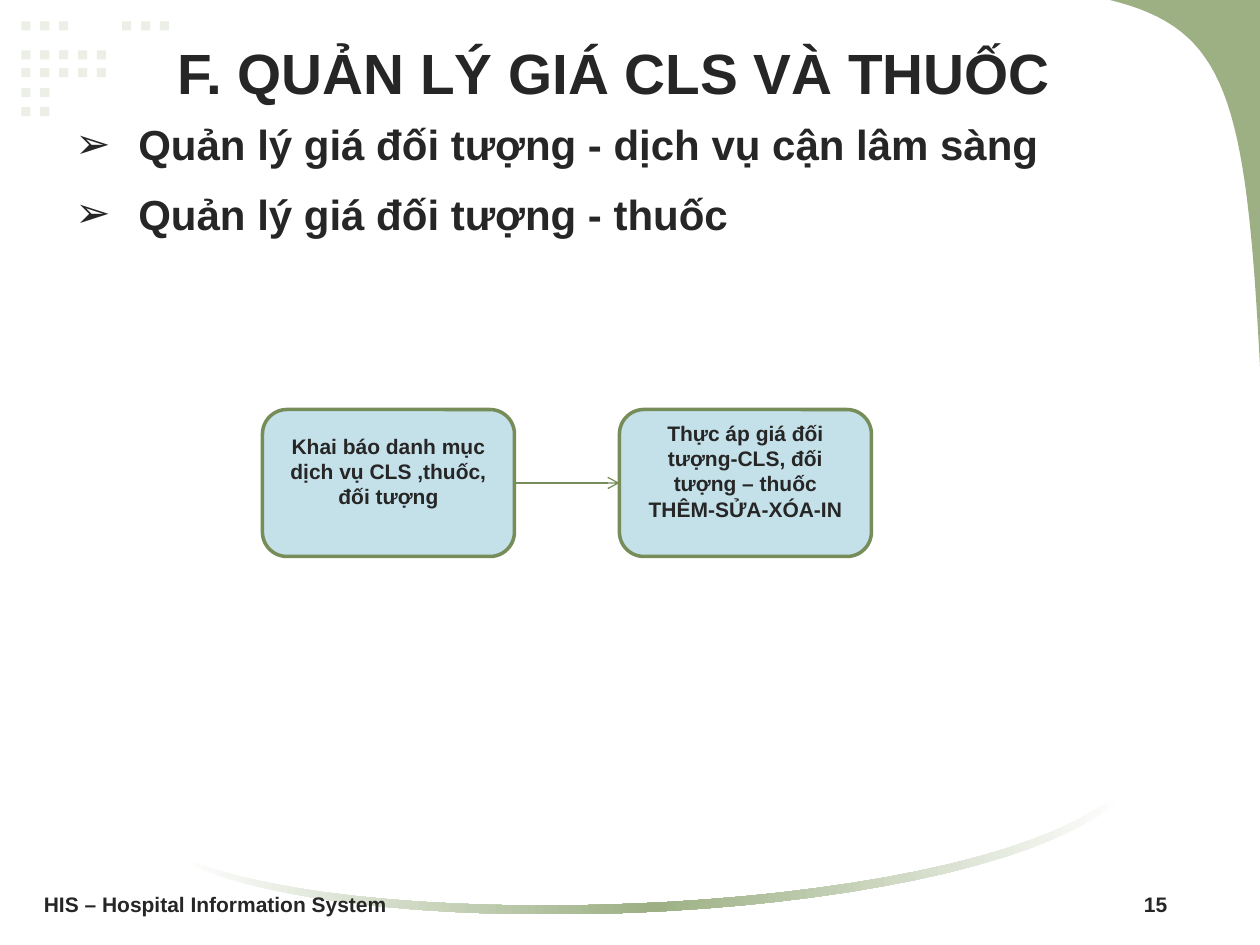
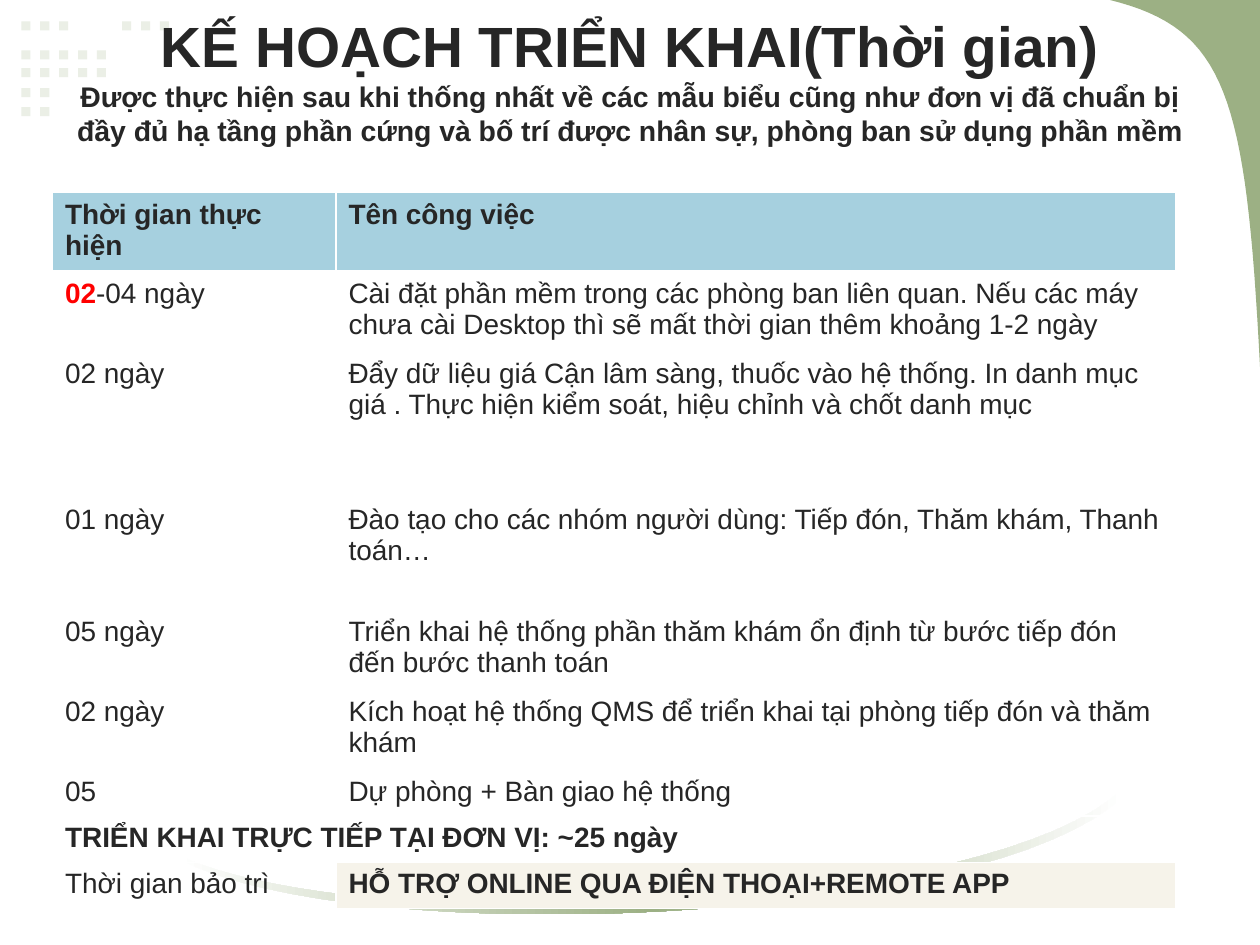
from dataclasses import dataclass

from lxml import etree
from pptx import Presentation
from pptx.dml.color import RGBColor
from pptx.enum.shapes import MSO_CONNECTOR, MSO_SHAPE
from pptx.enum.text import MSO_ANCHOR, PP_ALIGN
from pptx.oxml import parse_xml
from pptx.oxml.ns import nsdecls, qn
from pptx.util import Pt

LEFT, CENTER = PP_ALIGN.LEFT, PP_ALIGN.CENTER
TOP, MIDDLE = MSO_ANCHOR.TOP, MSO_ANCHOR.MIDDLE
RECTANGLE, ROUNDED = MSO_SHAPE.RECTANGLE, MSO_SHAPE.ROUNDED_RECTANGLE
STRAIGHT = MSO_CONNECTOR.STRAIGHT


@dataclass(frozen=True)
class Theme:
    font: str = "Arial"
    ink: str = "262626"
    accent: str = "FF0000"
    dot: str = "EBEFE6"
    green: str = "9CB084"
    outline: str = "768D5A"
    step: str = "C4E0E9"
    header: str = "A6D0DF"
    support: str = "F6F3EA"
    white: str = "FFFFFF"
    title_size: float = 32.4
    subtitle_size: float = 16.2
    bullet_size: float = 24
    table_size: float = 16
    small_size: float = 12


theme = Theme()


def color(code):
    return RGBColor.from_string(code)


def write(frame, text, size, bold=True, ink=theme.ink, align=LEFT, anchor=TOP,
          line_spacing=None, space_before=None, bullet=None, indent=0, tab=None):
    """Fill a frame; each line becomes a paragraph, a list holds (text, format) spans."""
    frame.word_wrap = True
    frame.vertical_anchor = anchor
    lines = text if isinstance(text, list) else [[(line, {})] for line in text.split("\n")]
    for number, spans in enumerate(lines):
        para = frame.paragraphs[0] if number == 0 else frame.add_paragraph()
        para.alignment = align
        para.line_spacing = line_spacing
        para.space_before = space_before
        properties = para._p.get_or_add_pPr()
        if bullet:
            properties.set("marL", str(Pt(indent)))
            properties.set("indent", str(-Pt(indent)))
            etree.SubElement(properties, qn("a:buFont"), typeface=theme.font)
            etree.SubElement(properties, qn("a:buChar"), char=bullet)
        if tab:
            stops = etree.SubElement(properties, qn("a:tabLst"))
            etree.SubElement(stops, qn("a:tab"), pos=str(Pt(tab)), algn="r")
        for words, changes in spans:
            span = para.add_run()
            span.text = words
            span.font.name = theme.font
            span.font.size = Pt(changes.get("size", size))
            span.font.bold = changes.get("bold", bold)
            span.font.color.rgb = color(changes.get("ink", ink))


# Shared decoration: dots, green corner and the fading swoosh
DOT_LEFT, DOT_PITCH, DOT_SIZE = 12.2, 10.8, 5.2
DOT_ROWS = [(12.2, 3), (28.8, 5), (38.9, 5), (50.4, 2), (61.2, 2)]
dots = [(DOT_LEFT + DOT_PITCH * i, top) for top, count in DOT_ROWS for i in range(count)]
dots += [(69.8 + DOT_PITCH * i, DOT_ROWS[0][0]) for i in range(3)]

CORNER = [[(720, 209.5), (712, 54), (700.6, 16.6), (634.3, 0)], [(720, 0)]]
SWOOSH = [[(642.2, 455), (565.2, 528.5), (205.9, 544.3), (102.2, 491)],
          [(102.2, 488.9), (207.4, 537.8), (569.5, 523.4), (642.2, 450)]]
CURVE_STEPS = 32

deck = Presentation()
deck.slide_width, deck.slide_height = Pt(720), Pt(540)
pages = [deck.slides.add_slide(deck.slide_layouts[6]) for _ in range(2)]

for page in pages:
    for left, top in dots:
        dot = page.shapes.add_shape(RECTANGLE, Pt(left), Pt(top), Pt(DOT_SIZE), Pt(DOT_SIZE))
        dot.shadow.inherit = False
        dot.fill.solid()
        dot.fill.fore_color.rgb = color(theme.dot)
        dot.line.fill.background()

    for pieces in (CORNER, SWOOSH):
        points = []
        for piece in pieces:
            if len(piece) == 1:
                points += piece
                continue
            for step in range(CURVE_STEPS + 1):
                t = step / CURVE_STEPS
                weights = ((1 - t) ** 3, 3 * t * (1 - t) ** 2, 3 * t * t * (1 - t), t ** 3)
                points.append([sum(w * p[axis] for w, p in zip(weights, piece))
                               for axis in (0, 1)])
        points = [(Pt(x), Pt(y)) for x, y in points]
        builder = page.shapes.build_freeform(*points[0])
        builder.add_line_segments(points[1:], close=True)
        outline = builder.convert_to_shape()
        outline.shadow.inherit = False
        outline.line.fill.background()
        if pieces is CORNER:
            outline.fill.solid()
            outline.fill.fore_color.rgb = color(theme.green)
        else:
            outline.fill.gradient()
            outline.fill.gradient_angle = 0
            stops = outline._element.spPr.find(".//" + qn("a:gsLst"))
            for stop in list(stops):
                stops.remove(stop)
            for place, code in ((0, theme.white), (50, theme.green), (100, theme.white)):
                stops.append(parse_xml(f'<a:gs {nsdecls("a")} pos="{place * 1000}">'
                                       f'<a:srgbClr val="{code}"/></a:gs>'))

price_page, plan_page = pages

# Price management
title = price_page.shapes.add_textbox(Pt(36), Pt(18), Pt(630), Pt(66))
write(title.text_frame, "F. QUẢN LÝ GIÁ CLS VÀ THUỐC", theme.title_size, align=CENTER)

topics = price_page.shapes.add_textbox(Pt(36), Pt(60), Pt(612), Pt(132))
write(topics.text_frame,
      "Quản lý giá đối tượng - dịch vụ cận lâm sàng\nQuản lý giá đối tượng - thuốc",
      theme.bullet_size, line_spacing=1.15, space_before=Pt(6.5), bullet="➢", indent=36)

STEP_TOP, STEP_WIDTH, STEP_HEIGHT = 234, 144, 84
STEPS = [(150, "Khai báo danh mục dịch vụ CLS ,thuốc, đối tượng"),
         (354, "Thực áp giá đối tượng-CLS, đối tượng – thuốc\nTHÊM-SỬA-XÓA-IN")]
for left, label in STEPS:
    box = price_page.shapes.add_shape(ROUNDED, Pt(left), Pt(STEP_TOP),
                                      Pt(STEP_WIDTH), Pt(STEP_HEIGHT))
    box.shadow.inherit = False
    box.fill.solid()
    box.fill.fore_color.rgb = color(theme.step)
    box.line.color.rgb = color(theme.outline)
    box.line.width = Pt(2)
    box.text_frame.margin_bottom = Pt(17.4)
    write(box.text_frame, label, theme.small_size, align=CENTER, anchor=MIDDLE)

middle = Pt(STEP_TOP + STEP_HEIGHT / 2)
arrow = price_page.shapes.add_connector(STRAIGHT, Pt(STEPS[0][0] + STEP_WIDTH), middle,
                                        Pt(STEPS[1][0]), middle)
arrow.line.color.rgb = color(theme.outline)
arrow.line.width = Pt(0.75)
etree.SubElement(arrow.line._get_or_add_ln(), qn("a:tailEnd"), type="arrow")
etree.SubElement(arrow._element.spPr, qn("a:effectLst"))

footer = price_page.shapes.add_textbox(Pt(18), Pt(504), Pt(684), Pt(25))
write(footer.text_frame, "HIS – Hospital Information System\t15", theme.small_size,
      anchor=MIDDLE, tab=642)

# Rollout plan
title = plan_page.shapes.add_textbox(Pt(36), Pt(0), Pt(648), Pt(90))
write(title.text_frame,
      [[("KẾ HOẠCH TRIỂN KHAI(Thời gian)", {})],
       [("Được thực hiện sau khi thống nhất về các mẫu biểu cũng như đơn vị đã chuẩn bị "
         "đầy đủ hạ tầng phần cứng và bố trí được nhân sự, phòng ban sử dụng phần mềm",
         {"size": theme.subtitle_size})]],
      theme.title_size, align=CENTER, anchor=MIDDLE)

PLAN = [
    (26, "Thời gian thực hiện", "Tên công việc"),
    (45, [[("02", {"bold": True, "ink": theme.accent}), ("-04 ngày", {})]],
     "Cài đặt phần mềm trong các phòng ban liên quan. Nếu các máy chưa cài Desktop "
     "thì sẽ mất thời gian thêm khoảng 1-2 ngày"),
    (83.5, "02 ngày", "Đẩy dữ liệu giá Cận lâm sàng, thuốc vào hệ thống. In danh mục giá . "
     "Thực hiện kiểm soát, hiệu chỉnh và chốt danh mục"),
    (64, "01 ngày", "Đào tạo cho các nhóm người dùng: Tiếp đón, Thăm khám, Thanh toán…"),
    (45, "05 ngày", "Triển khai hệ thống phần thăm khám ổn định từ bước tiếp đón "
     "đến bước thanh toán"),
    (45, "02 ngày", "Kích hoạt hệ thống QMS để triển khai tại phòng tiếp đón và thăm khám"),
    (26, "05", "Dự phòng + Bàn giao hệ thống"),
    (26, "TRIỂN KHAI TRỰC TIẾP TẠI ĐƠN VỊ: ~25 ngày", None),
    (26, "Thời gian bảo trì", "HỖ TRỢ ONLINE QUA ĐIỆN THOẠI+REMOTE APP"),
]
TOTAL_ROW, SUPPORT_ROW = 7, 8
FILLS = {(0, 0): theme.header, (0, 1): theme.header, (SUPPORT_ROW, 1): theme.support}
BOLD_CELLS = {(0, 0), (0, 1), (TOTAL_ROW, 0), (SUPPORT_ROW, 1)}

frame = plan_page.shapes.add_table(len(PLAN), 2, Pt(30), Pt(110), Pt(642),
                                   Pt(sum(row[0] for row in PLAN)))
table = frame.table
table.first_row = table.horz_banding = False
for column, width in zip(table.columns, (162, 480)):
    column.width = Pt(width)
for row, (height, *texts) in enumerate(PLAN):
    table.rows[row].height = Pt(height)
    for column, text in enumerate(texts):
        cell = table.cell(row, column)
        for side in "LRTB":
            width = 3 if (row, side) in ((0, "B"), (1, "T")) else 1
            cell._tc.get_or_add_tcPr().append(parse_xml(
                f'<a:ln{side} {nsdecls("a")} w="{Pt(width)}"><a:solidFill>'
                f'<a:srgbClr val="{theme.white}"/></a:solidFill></a:ln{side}>'))
        if (row, column) in FILLS:
            cell.fill.solid()
            cell.fill.fore_color.rgb = color(FILLS[row, column])
        else:
            cell.fill.background()
        if text:
            write(cell.text_frame, text, theme.table_size, bold=(row, column) in BOLD_CELLS)
table.cell(TOTAL_ROW, 0).merge(table.cell(TOTAL_ROW, 1))

deck.save("out.pptx")
